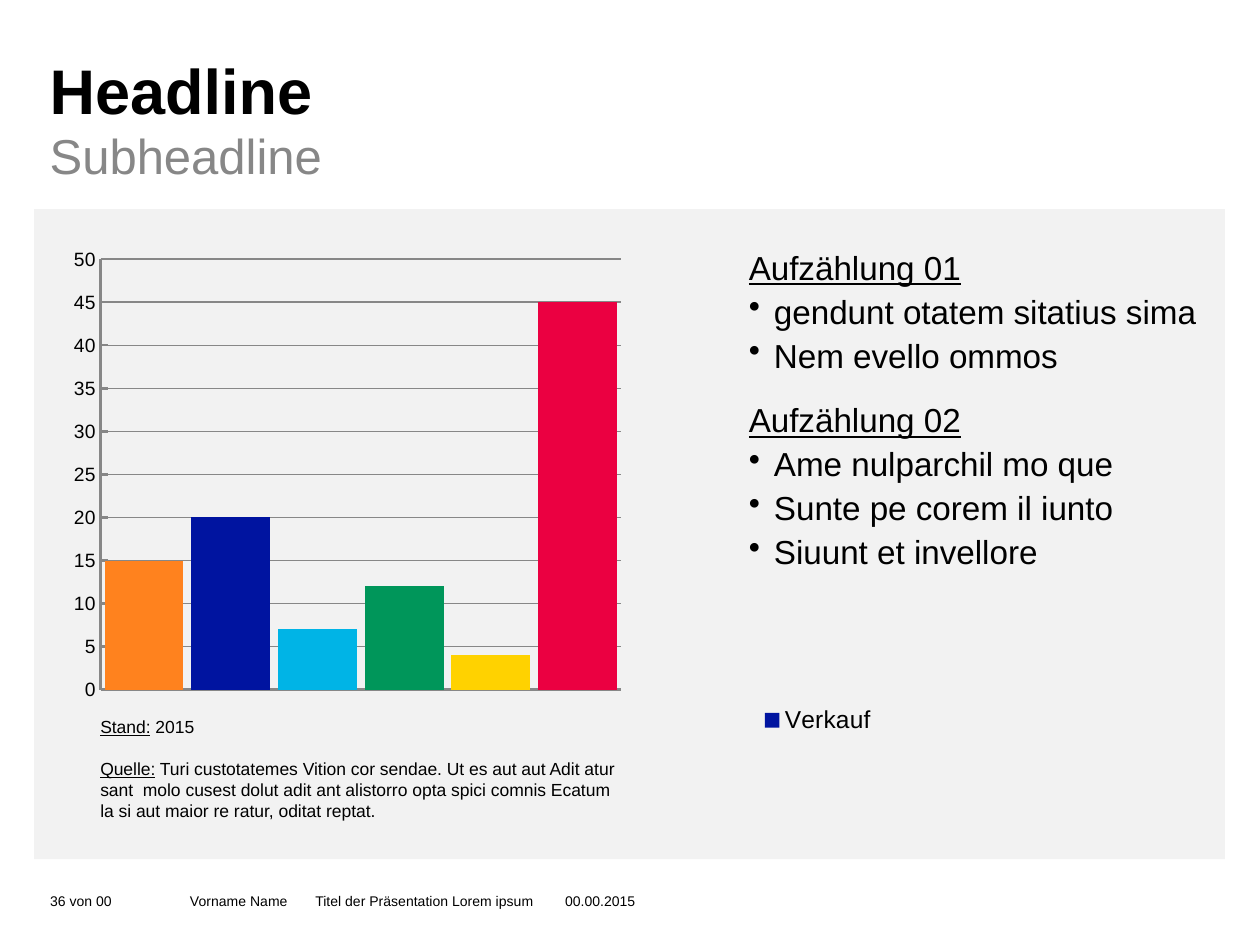
import lxml.etree
import pptx
import pptx.chart.data
import pptx.dml.color
import pptx.enum.chart
import pptx.enum.shapes
import pptx.enum.text
import pptx.oxml.ns
import pptx.util

Pt = pptx.util.Pt
RGB = pptx.dml.color.RGBColor
qn = pptx.oxml.ns.qn

FONT = "Arial"
BLACK = RGB(0x00, 0x00, 0x00)
GREY = RGB(0x87, 0x87, 0x87)
PANEL = RGB(0xF2, 0xF2, 0xF2)
ORANGE = RGB(0xFF, 0x82, 0x1E)
BLUE = RGB(0x00, 0x14, 0xA0)
CYAN = RGB(0x00, 0xB4, 0xE6)
GREEN = RGB(0x00, 0x96, 0x5A)
YELLOW = RGB(0xFF, 0xD2, 0x00)
RED = RGB(0xEB, 0x00, 0x41)

SALES = [(15, ORANGE), (20, BLUE), (7, CYAN), (12, GREEN), (4, YELLOW), (45, RED)]
LISTS = {
    "Aufzählung 01": ["gendunt otatem sitatius sima", "Nem evello ommos"],
    "Aufzählung 02": ["Ame nulparchil mo que", "Sunte pe corem il iunto", "Siuunt et invellore"],
}


def add_frame(page, box, bottom=False):
    """Add an empty text box without margins; box is left, top, width, height."""
    frame = page.shapes.add_textbox(*map(Pt, box)).text_frame
    frame.word_wrap = True
    frame.margin_left = frame.margin_right = frame.margin_top = frame.margin_bottom = 0
    if bottom:
        frame.vertical_anchor = pptx.enum.text.MSO_ANCHOR.BOTTOM
    return frame


def add_text(frame, text, label="", size=10, color=BLACK, bold=False, underline=False,
             spacing=None, before=0, bullet=False, tabs=()):
    """Write one paragraph, with an optional underlined label in front."""
    para = frame.paragraphs[0]
    if para.runs:
        para = frame.add_paragraph()
    if spacing:
        para.line_spacing = spacing
    para.space_before = Pt(before)
    for words, underlined in ((label, True), (text, underline)):
        if words:
            span = para.add_run()
            span.text = words
            span.font.name = FONT
            span.font.size = Pt(size)
            span.font.bold = bold
            span.font.underline = underlined
            span.font.color.rgb = color
    properties = para._p.get_or_add_pPr()
    if bullet:
        properties.set("marL", str(Pt(14.4)))
        properties.set("indent", str(-Pt(14.4)))
        lxml.etree.SubElement(properties, qn("a:buChar"), char="•")
    if tabs:
        stops = lxml.etree.SubElement(properties, qn("a:tabLst"))
        for position in tabs:
            lxml.etree.SubElement(stops, qn("a:tab"), pos=str(Pt(position)), algn="l")


def set_layout(element, index, **values):
    """Give a chart part a manual position, as fractions of the chart."""
    for old in element.findall(qn("c:layout")):
        element.remove(old)
    layout = lxml.etree.Element(qn("c:layout"))
    manual = lxml.etree.SubElement(layout, qn("c:manualLayout"))
    for name, value in values.items():
        lxml.etree.SubElement(manual, qn("c:" + name), val=str(value))
    element.insert(index, layout)


def add_heading(page, box):
    left, top, width, height = box
    add_text(add_frame(page, (left, top, width, 44.6)), "Headline", size=36, bold=True)
    add_text(add_frame(page, (left, top + 38.9, width, height - 38.9)), "Subheadline",
             size=28, color=GREY, spacing=1.1)


def add_panel(page, box):
    panel = page.shapes.add_shape(pptx.enum.shapes.MSO_SHAPE.RECTANGLE, *map(Pt, box))
    panel.shadow.inherit = False
    panel.fill.solid()
    panel.fill.fore_color.rgb = PANEL
    panel.line.fill.background()


def add_sales_chart(page, box):
    data = pptx.chart.data.CategoryChartData()
    data.categories = [str(number) for number in range(1, len(SALES) + 1)]
    data.add_series("Verkauf", [value for value, color in SALES])
    kind = pptx.enum.chart.XL_CHART_TYPE.COLUMN_STACKED
    chart = page.shapes.add_chart(kind, *map(Pt, box), data).chart
    chart.has_title = False
    chart.font.name = FONT
    chart.font.size = Pt(18)
    chart.font.color.rgb = BLACK

    # Columns
    plot = chart.plots[0]
    plot.gap_width = 10
    plot.overlap = 100
    plot.vary_by_categories = False
    series = plot.series[0]
    series.format.fill.solid()
    series.format.fill.fore_color.rgb = BLUE
    for index, (value, color) in enumerate(SALES):
        fill = series.points[index].format.fill
        fill.solid()
        fill.fore_color.rgb = color

    # Axes
    marks = pptx.enum.chart.XL_TICK_MARK
    categories, values = chart.category_axis, chart.value_axis
    for axis, mark in ((categories, marks.NONE), (values, marks.INSIDE)):
        axis.major_tick_mark = mark
        axis.minor_tick_mark = marks.NONE
        axis.format.line.color.rgb = GREY
        axis.format.line.width = Pt(1.5)
    categories.tick_label_position = pptx.enum.chart.XL_TICK_LABEL_POSITION.NONE
    categories.has_major_gridlines = False
    values.minimum_scale, values.maximum_scale, values.major_unit = 0, 50, 5
    values.tick_labels.font.size = Pt(11)
    values.major_gridlines.format.line.color.rgb = GREY
    values.major_gridlines.format.line.width = Pt(0.75)

    # Legend and manual positions
    chart.has_legend = True
    legend = chart.legend
    legend.position = pptx.enum.chart.XL_LEGEND_POSITION.RIGHT
    legend.include_in_layout = False
    legend.font.size = Pt(14)
    set_layout(legend._element, 1, xMode="edge", yMode="edge", x=0.69, y=0.77)
    set_layout(chart._chartSpace.chart.plotArea, 0, layoutTarget="inner", xMode="edge",
               yMode="edge", x=0.048, y=0.056, w=0.509, h=0.695)


def add_source_note(page, box):
    frame = add_frame(page, box)
    add_text(frame, " 2015", label="Stand:")
    add_text(frame, " Turi custotatemes Vition cor sendae. Ut es aut aut Adit atur sant  molo "
             "cusest dolut adit ant alistorro opta spici comnis Ecatum la si aut maior re "
             "ratur, oditat reptat.", label="Quelle:", before=12)


def add_lists(page, box):
    frame = add_frame(page, box)
    for number, (heading, items) in enumerate(LISTS.items()):
        add_text(frame, heading, size=19, underline=True, spacing=1.1, before=12 * number)
        for item in items:
            add_text(frame, item, size=19, spacing=1.1, bullet=True)


def add_footer(page, box):
    left, top, width, height = box
    add_text(add_frame(page, (left, top, 76, height), bottom=True), "36 von 00", size=8)
    add_text(add_frame(page, (left + 80, top, width - 80, height), bottom=True),
             "Vorname Name\tTitel der Präsentation Lorem ipsum\t00.00.2015",
             size=8, tabs=(71.6, 214.3))


def main():
    deck = pptx.Presentation()
    deck.slide_width, deck.slide_height = Pt(720), Pt(540)
    page = deck.slides.add_slide(deck.slide_layouts[6])
    add_panel(page, (19.5, 119.6, 680.5, 371.4))
    add_sales_chart(page, (29.5, 128.2, 584, 354.2))
    add_heading(page, (28.4, 29.5, 502, 78.5))
    add_source_note(page, (57.3, 409, 297.6, 73.4))
    add_lists(page, (427.9, 139, 263.5, 196))
    add_footer(page, (28.6, 496.8, 615, 23))
    deck.save("out.pptx")


if __name__ == "__main__":
    main()
